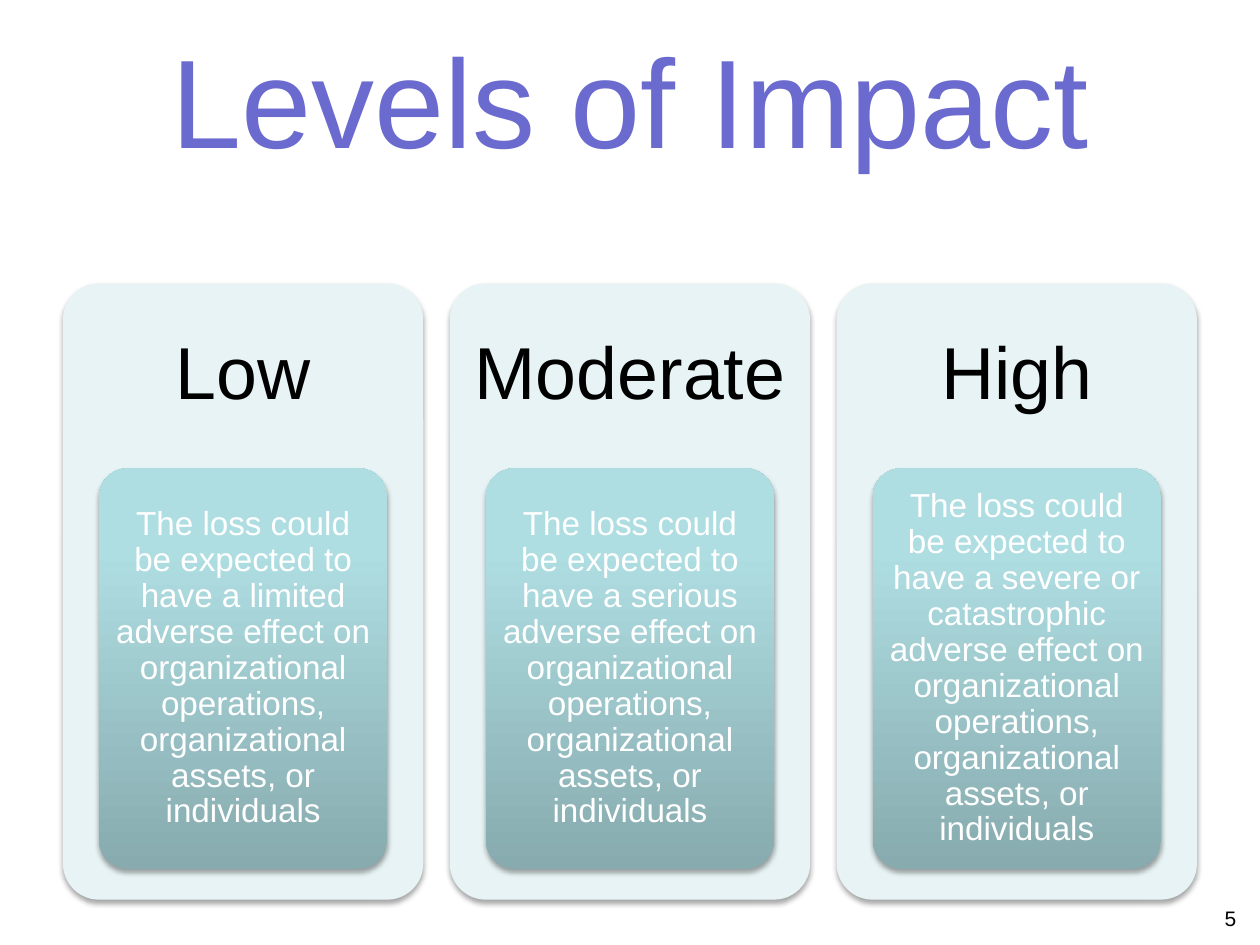
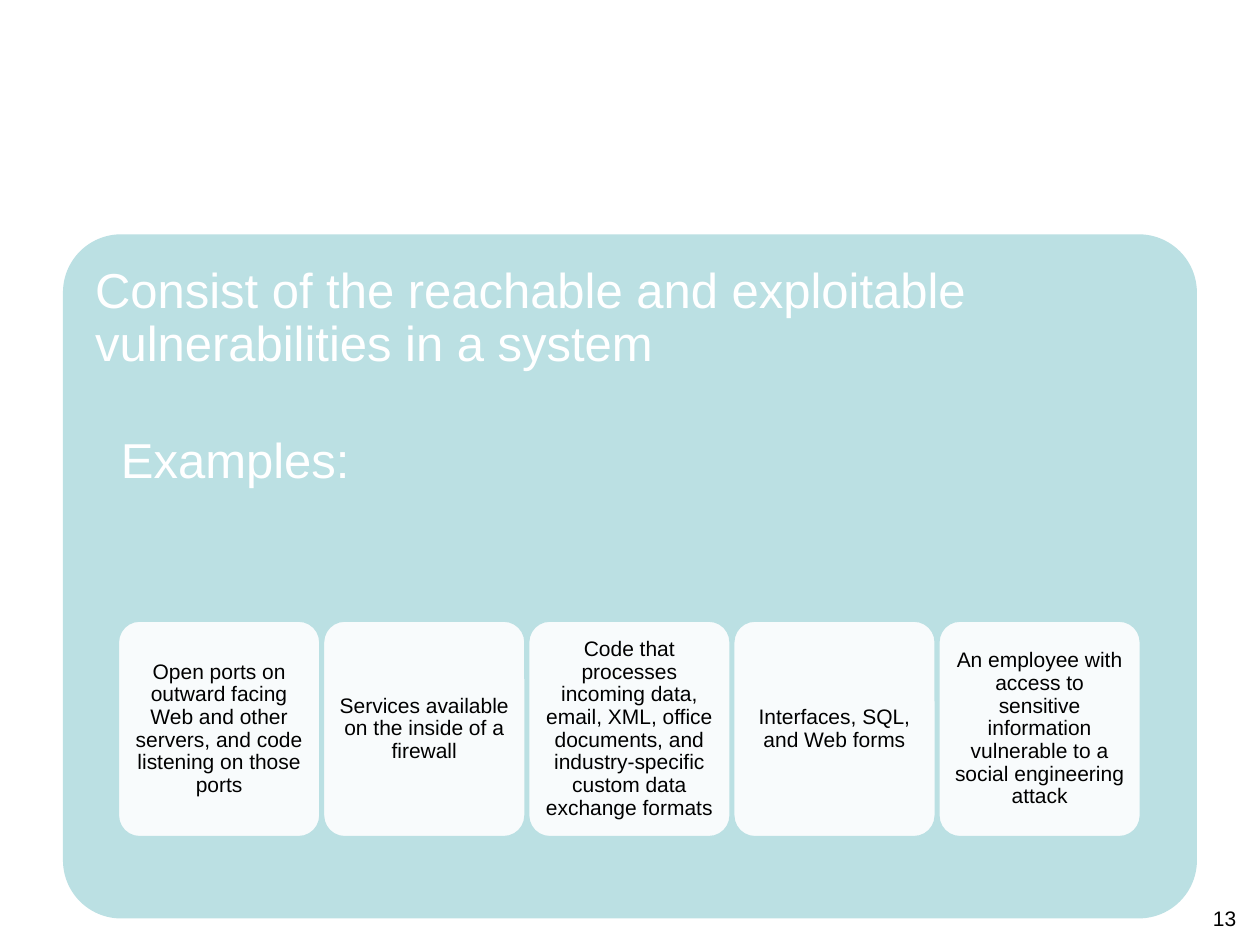
import pptx
import pptx.util
import pptx.dml.color
import pptx.enum.shapes
import pptx.enum.text
import pptx.oxml
import pptx.oxml.ns
from lxml import etree

Inches = pptx.util.Inches
RGBColor = pptx.dml.color.RGBColor
ALIGN = pptx.enum.text.PP_ALIGN
ANCHOR = pptx.enum.text.MSO_ANCHOR
A = pptx.oxml.ns.nsdecls("a")

# Shared style
FONT = "Arial"
TITLE_VIOLET = RGBColor(0x6B, 0x6B, 0xCF)
PALE_TEAL = RGBColor(0xE7, 0xF3, 0xF4)
TEAL = RGBColor(0xBB, 0xE0, 0xE3)
WHITE = RGBColor(0xFF, 0xFF, 0xFF)
BLACK = RGBColor(0x00, 0x00, 0x00)
LOSS_GRADIENT = [
    (0, RGBColor(0x87, 0xAB, 0xAE)),
    (80, RGBColor(0xAF, 0xDE, 0xE2)),
    (100, RGBColor(0xAF, 0xE0, 0xE4)),
]

LEVELS = [("Low", "limited"), ("Moderate", "serious"), ("High", "severe or catastrophic")]
LOSS = ("The loss could be expected to have a {} adverse effect on organizational "
        "operations, organizational assets, or individuals")
DEFINITION = "Consist of the reachable and exploitable vulnerabilities in a system"
EXAMPLES = [
    "Open ports on outward facing Web and other servers, and code listening on those ports",
    "Services available on the inside of a firewall",
    "Code that processes incoming data, email, XML, office documents, "
    "and industry-specific custom data exchange formats",
    "Interfaces, SQL, and Web forms",
    "An employee with access to sensitive information vulnerable to a social engineering attack",
]


def format_text(frame, size, color, align):
    paragraph = frame.paragraphs[0]
    paragraph.alignment = align
    font = paragraph.runs[0].font
    font.name, font.size, font.color.rgb = FONT, pptx.util.Pt(size), color


def add_text(slide, box, text, size, color, align=ALIGN.CENTER,
             anchor=ANCHOR.MIDDLE, insets=(0.05, 0.05), line_spacing=0.9):
    """Text box; insets are (sides, top and bottom) in inches."""
    frame = slide.shapes.add_textbox(*map(Inches, box)).text_frame
    frame.word_wrap = True
    frame.vertical_anchor = anchor
    frame.margin_left = frame.margin_right = Inches(insets[0])
    frame.margin_top = frame.margin_bottom = Inches(insets[1])
    frame.text = text
    frame.paragraphs[0].line_spacing = line_spacing
    format_text(frame, size, color, align)


def add_rounded(slide, box, rounding, fill=None):
    rounded = slide.shapes.add_shape(
        pptx.enum.shapes.MSO_SHAPE.ROUNDED_RECTANGLE, *map(Inches, box))
    rounded.adjustments[0] = rounding
    rounded.shadow.inherit = False
    rounded.line.fill.background()
    if fill is not None:
        rounded.fill.solid()
        rounded.fill.fore_color.rgb = fill
    return rounded


def add_soft_shadow(shape):
    effects = shape.element.spPr.find(pptx.oxml.ns.qn("a:effectLst"))
    effects.append(pptx.oxml.parse_xml(
        f'<a:outerShdw {A} blurRad="39400" dist="22900" dir="5400000" rotWithShape="0">'
        f'<a:srgbClr val="{BLACK}"><a:alpha val="35000"/></a:srgbClr></a:outerShdw>'))


def fill_upward_gradient(shape, stops):
    shape.fill.gradient()
    shape.fill.gradient_angle = 90
    stop_list = shape.element.spPr.find(".//" + pptx.oxml.ns.qn("a:gsLst"))
    for old_stop in list(stop_list):
        stop_list.remove(old_stop)
    for percent, color in stops:
        stop_list.append(pptx.oxml.parse_xml(
            f'<a:gs {A} pos="{percent * 1000}"><a:srgbClr val="{color}"/></a:gs>'))


def inset(box, margin):
    left, top, width, height = box
    return left + margin, top + margin, width - 2 * margin, height - 2 * margin


def columns(box, count, gap):
    """Split a box into equal columns."""
    left, top, width, height = box
    column = (width - gap * (count - 1)) / count
    return [(left + i * (column + gap), top, column, height) for i in range(count)]


def add_title(slide, box, text):
    title = slide.shapes.title
    title.left, title.top, title.width, title.height = map(Inches, box)
    frame = title.text_frame
    frame.text = text
    frame.auto_size = pptx.enum.text.MSO_AUTO_SIZE.NONE
    frame.vertical_anchor = ANCHOR.MIDDLE
    format_text(frame, 72, TITLE_VIOLET, ALIGN.CENTER)


def add_page_number(slide, number):
    add_text(slide, (7.58, 7.14, 2.33, 0.27), str(number), 12, BLACK, ALIGN.RIGHT,
             ANCHOR.TOP, insets=(0.1, 0.05), line_spacing=1.0)


def add_level_card(slide, box, level, severity):
    left, top, width, height = box
    heading_height = 0.3 * height
    add_soft_shadow(add_rounded(slide, box, 0.1, PALE_TEAL))
    add_text(slide, (left, top, width, heading_height), level, 42, BLACK, insets=(0.17, 0.17))

    # Loss description
    loss_box = (left + 0.1 * width, top + heading_height, 0.8 * width, 0.65 * height)
    loss = add_rounded(slide, loss_box, 0.1)
    fill_upward_gradient(loss, LOSS_GRADIENT)
    add_soft_shadow(loss)
    add_text(slide, inset(loss_box, 0.07), LOSS.format(severity), 19, WHITE)


def add_headed_panel(slide, box, rounding, margin, heading):
    add_rounded(slide, box, rounding, TEAL)
    add_text(slide, inset(box, margin), heading, 28, WHITE, ALIGN.LEFT,
             ANCHOR.TOP, insets=(0.12, 0.12))


def add_example(slide, box, example):
    tile = add_rounded(slide, box, 0.105, WHITE)
    color = tile.element.spPr.find(".//" + pptx.oxml.ns.qn("a:srgbClr"))
    etree.SubElement(color, pptx.oxml.ns.qn("a:alpha")).set("val", "90000")
    tile.line.color.rgb = TEAL
    tile.line.width = pptx.util.Pt(0.75)
    add_text(slide, inset(box, 0.05), example, 12, BLACK)


def build_impact_slide(deck):
    slide = deck.slides.add_slide(deck.slide_layouts[5])
    add_title(slide, (0.5, 0, 9, 1.55), "Levels of Impact")
    cards = columns((0.5, 2.25, 9, 4.89), len(LEVELS), 0.21)
    for box, (level, severity) in zip(cards, LEVELS):
        add_level_card(slide, box, level, severity)
    add_page_number(slide, 5)


def build_attack_surface_slide(deck):
    slide = deck.slides.add_slide(deck.slide_layouts[6])
    add_headed_panel(slide, (0.5, 1.86, 9, 5.43), 0.085, 0.135, DEFINITION)
    add_headed_panel(slide, (0.72, 3.22, 8.55, 3.8), 0.105, 0.12, "Examples:")
    for box, example in zip(columns((0.94, 4.93, 8.11, 1.71), len(EXAMPLES), 0.03), EXAMPLES):
        add_example(slide, box, example)
    add_page_number(slide, 13)


def main():
    deck = pptx.Presentation()
    deck.slide_width, deck.slide_height = Inches(10), Inches(7.5)
    build_impact_slide(deck)
    build_attack_surface_slide(deck)
    deck.save("out.pptx")


if __name__ == "__main__":
    main()
